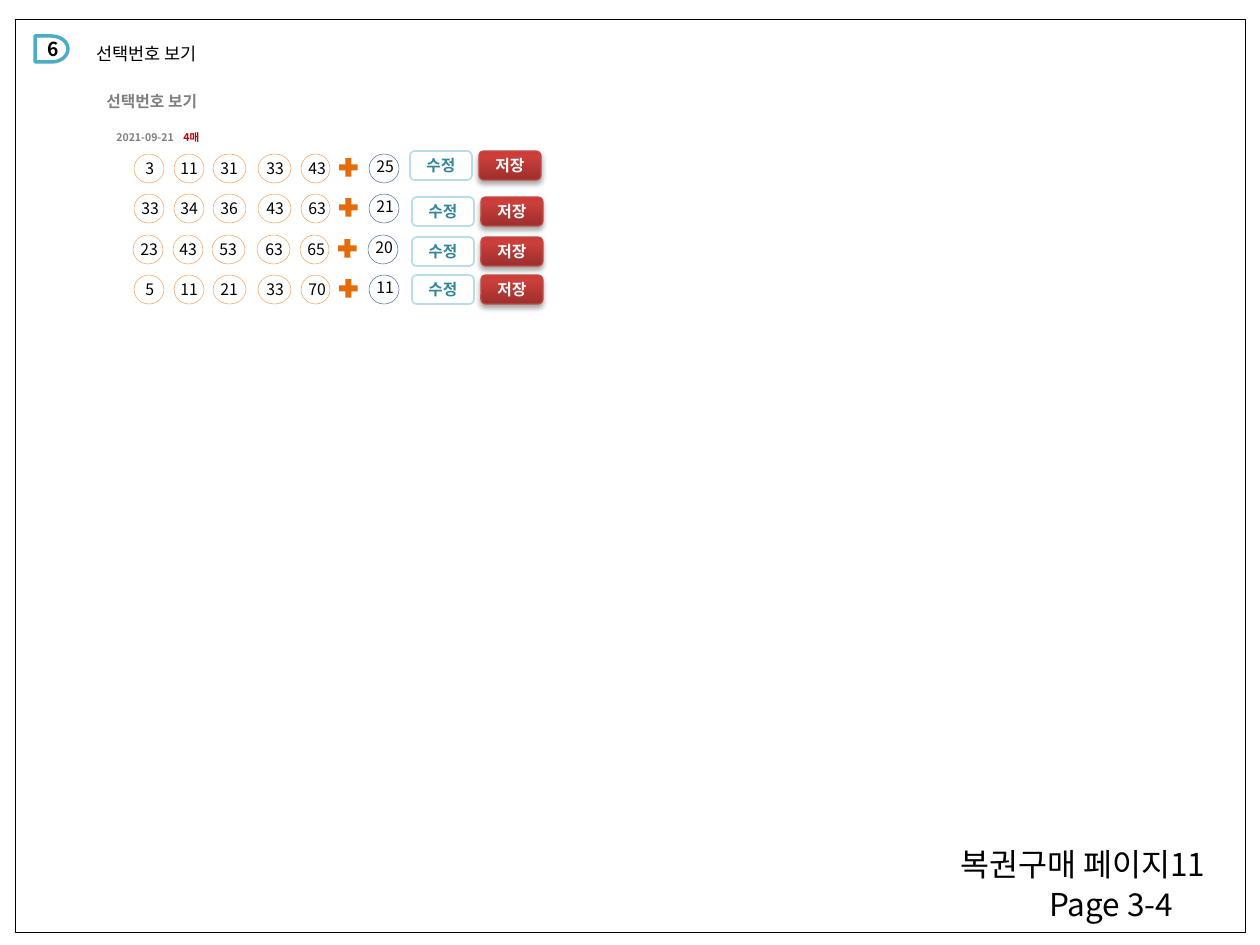
from lxml.etree import SubElement as Sub
from pptx import Presentation
from pptx.dml.color import RGBColor
from pptx.enum.shapes import MSO_SHAPE as Kind
from pptx.enum.text import MSO_ANCHOR as Anchor, MSO_AUTO_SIZE as Auto, PP_ALIGN as Align
from pptx.oxml.ns import qn
from pptx.util import Emu, Pt

ROWS = [
    (154, 0, 410, 151, (3, 11, 31, 33, 43, 25)),
    (194, 0, 412, 197, (33, 34, 36, 43, 63, 21)),
    (235, -1, 412, 237, (23, 43, 53, 63, 65, 20)),
    (275, 0, 412, 275, (5, 11, 21, 33, 70, 11)),
]
BALLS = [(134, 30), (174, 30), (213, 33), (258, 33), (301, 29), (369, 30)]
TEXTS = [129, 168, 208, 254, 296, 364]
STOPS = [(0, "9C2F2D"), (80, "CB3E3A"), (100, "CE3B37")]


def px(num):
    return Emu(round(num * 914400 / 126))


def tint(code):
    return RGBColor.from_string(code)


class Page:
    """Draws styled elements on one slide, measured in px."""

    def __init__(self, deck, face):
        self.slide = deck.slides.add_slide(deck.slide_layouts[6])
        self.face = face

    def style(self, para, size, *looks):
        for run, (color, bold) in zip(para.runs, looks):
            font = run.font
            font.size, font.bold, font.name = Pt(size), bold, self.face
            font.color.rgb = tint(color)
            Sub(run._r.get_or_add_rPr(), qn("a:ea"), typeface=self.face)

    def shape(self, kind, box, fill, line=None, width=0.25):
        item = self.slide.shapes.add_shape(kind, *map(px, box))
        item.shadow.inherit = False
        item.fill.solid()
        item.fill.fore_color.rgb = tint(fill)
        if line:
            item.line.color.rgb = tint(line)
            item.line.width = Pt(width)
        else:
            item.line.fill.background()
        return item

    def label(self, item, text, size, color):
        frame = item.text_frame
        frame.text = text
        frame.vertical_anchor = Anchor.MIDDLE
        para = frame.paragraphs[0]
        para.alignment = Align.CENTER
        self.style(para, size, (color, True))

    def text(self, box, text, size, *looks):
        frame = self.slide.shapes.add_textbox(*map(px, box)).text_frame
        frame.word_wrap = True
        frame.auto_size = Auto.SHAPE_TO_FIT_TEXT
        frame.text = text
        para = frame.paragraphs[0]
        self.style(para, size, *(looks or [("000000", False)]))
        return para

    def count(self, box, date, total):
        frame = self.slide.shapes.add_textbox(*map(px, box)).text_frame
        frame.word_wrap = True
        frame.auto_size = Auto.SHAPE_TO_FIT_TEXT
        para = frame.paragraphs[0]
        tabs = Sub(para._p.get_or_add_pPr(), qn("a:tabLst"))
        Sub(tabs, qn("a:tab"), pos=str(px(67)), algn="l")
        for part in (date + "\t", total):
            para.add_run().text = part
        self.style(para, 6, ("808080", True), ("C00000", True))

    def edit(self, x, y):
        item = self.shape(Kind.ROUNDED_RECTANGLE, (x, y, 62, 29), "FFFFFF", "B7DEE8", 1)
        self.label(item, "수정", 9, "31859C")

    def store(self, x, y):
        item = self.shape(Kind.ROUNDED_RECTANGLE, (x, y, 62, 29), "CB3E3A", "BF4C48", 0.75)
        self.label(item, "저장", 9, "FFFFFF")
        prop = item._element.spPr
        grad = Sub(prop, qn("a:gradFill"), rotWithShape="1")
        prop.replace(prop.find(qn("a:solidFill")), grad)
        stops = Sub(grad, qn("a:gsLst"))
        for pos, color in STOPS:
            stop = Sub(stops, qn("a:gs"), pos=str(pos * 1000))
            Sub(stop, qn("a:srgbClr"), val=color)
        Sub(grad, qn("a:lin"), ang="16200000", scaled="0")
        shade = Sub(prop.find(qn("a:effectLst")), qn("a:outerShdw"), blurRad=str(int(Pt(3.1))),
                    dist=str(int(Pt(1.8))), dir="5400000", rotWithShape="0")
        color = Sub(shade, qn("a:srgbClr"), val="000000")
        Sub(color, qn("a:alpha"), val="35000")

    def draw(self, top, shift, nums):
        for spot, (x, wide) in enumerate(BALLS):
            line = "376092" if spot == 5 else "F79646"
            self.shape(Kind.OVAL, (x + shift, top, wide, 29), "FFFFFF", line)
        self.shape(Kind.MATH_PLUS, (336 + shift, top + 1, 25, 25), "E46C0A")
        for spot, (x, num) in enumerate(zip(TEXTS, nums)):
            left = x + shift + (4 if num < 10 else 0)
            rise = 2 if spot == 5 else 0
            self.text((left, top - 1 - rise, 45, 31), str(num), 9)


def main():
    deck = Presentation()
    deck.slide_width, deck.slide_height = px(1260), px(945)
    page = Page(deck, "Noto Sans CJK KR")
    page.shape(Kind.RECTANGLE, (15, 19, 1230, 913), "FFFFFF", "000000")
    badge = page.shape(Kind.FLOWCHART_DELAY, (35, 36, 33, 26), "FFFFFF", "4BACC6", 2)
    page.label(badge, "6", 11, "000000")
    page.text((84, 37, 973, 34), "선택번호 보기", 10)
    page.text((94, 86, 169, 31), "선택번호 보기", 9, ("808080", True))
    page.count((104, 125, 169, 25), "2021-09-21", "4매")
    for top, shift, left, level, nums in ROWS:
        page.draw(top, shift, nums)
        page.edit(left, level)
        page.store(left + 69, level)
    page.text((1037, 879, 258, 50), "Page 3-4", 18)
    page.text((948, 839, 318, 50), "복권구매 페이지11", 18)
    deck.save("out.pptx")


if __name__ == "__main__":
    main()
